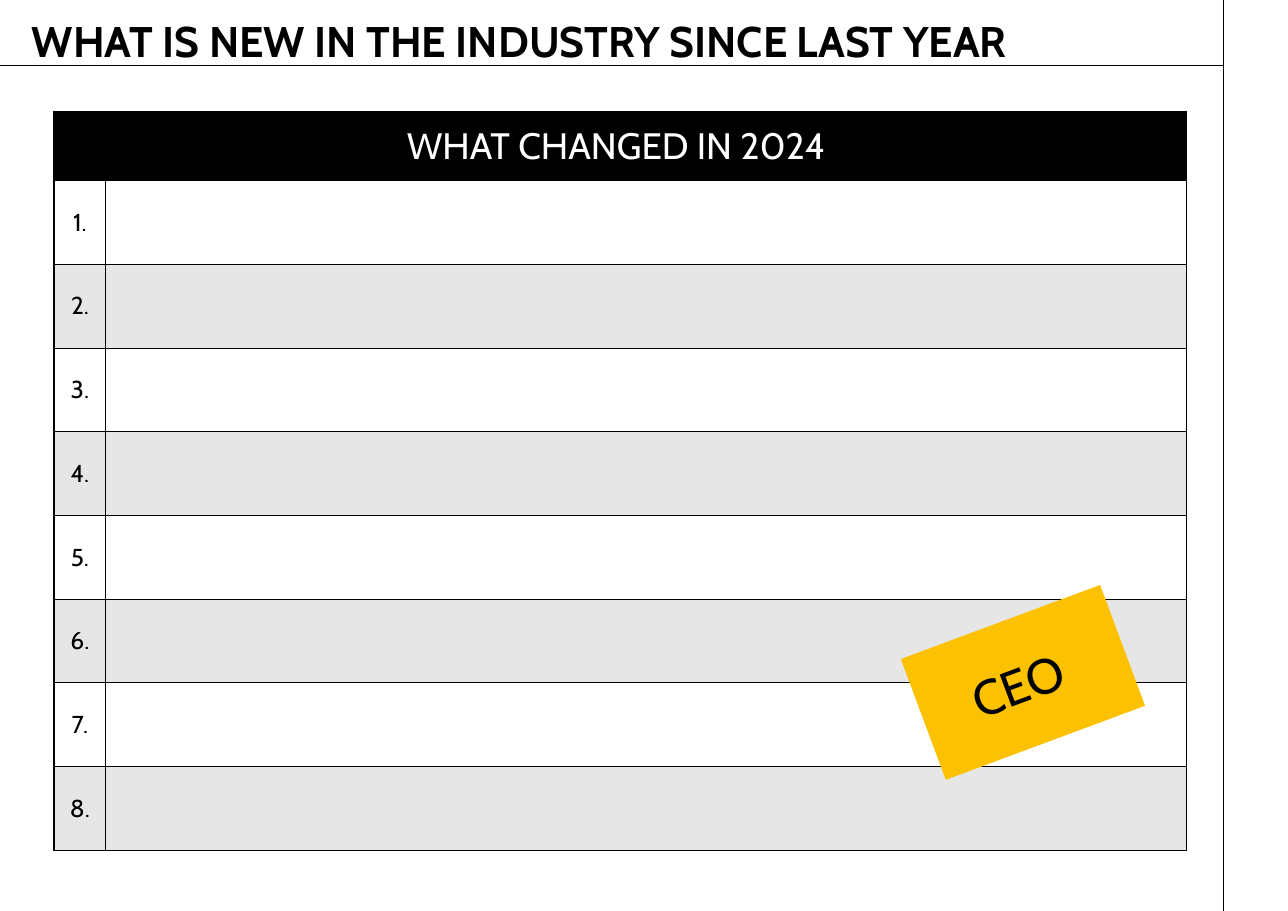
from lxml import etree
from pptx import Presentation
from pptx.dml.color import RGBColor
from pptx.enum.shapes import MSO_CONNECTOR, MSO_SHAPE
from pptx.enum.text import MSO_ANCHOR, MSO_AUTO_SIZE, PP_ALIGN
from pptx.oxml.ns import qn
from pptx.util import Inches, Pt

STRAIGHT = MSO_CONNECTOR.STRAIGHT
RECTANGLE = MSO_SHAPE.RECTANGLE
MIDDLE, BOTTOM = MSO_ANCHOR.MIDDLE, MSO_ANCHOR.BOTTOM
LEFT, CENTER = PP_ALIGN.LEFT, PP_ALIGN.CENTER

TITLE = "WHAT IS NEW IN THE INDUSTRY SINCE LAST YEAR"
TABLE_HEADING = "WHAT CHANGED IN 2024 "
BADGE = "CEO "
ROW_COUNT = 8
FONT = "Cabin"
COLORS = {"black": "000000", "white": "FFFFFF", "band": "E7E6E6", "badge": "FCC100"}

SLIDE_WIDTH, SLIDE_HEIGHT = 11.69, 8.27
MARGIN_X, TITLE_RULE_Y = 11.1, 0.59
TITLE_BOX = (0.19, 0.23, 9.56, 0.43)
BADGE_BOX = (8.32, 5.61, 1.93, 1.17)
TABLE_LEFT, TABLE_TOP = 0.49, 1.01
COLUMN_WIDTHS = (0.47, 9.81)
HEADING_HEIGHT, ROW_HEIGHT = 0.63, 0.76
THIN, THICK = 0.5, 1


def color(name):
    return RGBColor.from_string(COLORS[name])


def inches(values):
    return [Inches(value) for value in values]


def write(frame, text, size, ink, align=CENTER, bold=False):
    paragraph = frame.paragraphs[0]
    paragraph.alignment = align
    run = paragraph.add_run()
    run.text = text
    run.font.name = FONT
    run.font.size = Pt(size)
    run.font.bold = bold
    run.font.color.rgb = color(ink)
    return paragraph


def add_rule(slide, start, end):
    rule = slide.shapes.add_connector(STRAIGHT, *inches(start + end))
    rule.line.color.rgb = color("black")
    rule.line.width = Pt(THIN)
    etree.SubElement(rule._element.spPr, qn("a:effectLst"))


def set_borders(cell, widths):
    properties = cell._tc.get_or_add_tcPr()
    for index, (side, width) in enumerate(zip("LRTB", widths)):
        line = etree.Element(qn(f"a:ln{side}"), w=str(int(Pt(width))))
        fill = etree.SubElement(line, qn("a:solidFill"))
        etree.SubElement(fill, qn("a:srgbClr"), val=COLORS["black"])
        properties.insert(index, line)


def style_cell(cell, fill, borders):
    cell.fill.solid()
    cell.fill.fore_color.rgb = color(fill)
    cell.vertical_anchor = MIDDLE
    cell.margin_left = cell.margin_right = cell.margin_top = cell.margin_bottom = 0
    set_borders(cell, borders)


def add_title(slide):
    title = slide.shapes.title
    title.left, title.top, title.width, title.height = inches(TITLE_BOX)
    frame = title.text_frame
    frame.word_wrap = True
    frame.auto_size = MSO_AUTO_SIZE.NONE
    frame.vertical_anchor = BOTTOM
    write(frame, TITLE, 28, "black", LEFT, True).line_spacing = 0.9


def add_changes_table(slide):
    height = HEADING_HEIGHT + ROW_COUNT * ROW_HEIGHT
    box = inches((TABLE_LEFT, TABLE_TOP, sum(COLUMN_WIDTHS), height))
    table = slide.shapes.add_table(ROW_COUNT + 1, len(COLUMN_WIDTHS), *box).table
    table.first_row = table.horz_banding = False
    for column, width in zip(table.columns, COLUMN_WIDTHS):
        column.width = Inches(width)
    table.rows[0].height = Inches(HEADING_HEIGHT)

    for column in range(len(COLUMN_WIDTHS)):
        style_cell(table.cell(0, column), "black", (THICK, THICK, THICK, THIN))
    heading = table.cell(0, 0)
    heading.merge(table.cell(0, 1))
    write(heading.text_frame, TABLE_HEADING, 24, "white")

    for number in range(1, ROW_COUNT + 1):
        table.rows[number].height = Inches(ROW_HEIGHT)
        fill = "white" if number % 2 else "band"
        bottom = THICK if number == ROW_COUNT else THIN
        number_cell, change_cell = table.cell(number, 0), table.cell(number, 1)
        style_cell(number_cell, fill, (THICK, THIN, THIN, bottom))
        style_cell(change_cell, fill, (THIN, THIN, THIN, bottom))
        write(number_cell.text_frame, f"{number}.", 16, "black")


def add_badge(slide):
    badge = slide.shapes.add_shape(RECTANGLE, *inches(BADGE_BOX))
    badge.rotation = 339.6
    badge.shadow.inherit = False
    badge.fill.solid()
    badge.fill.fore_color.rgb = color("badge")
    badge.line.fill.background()
    badge.text_frame.word_wrap = True
    badge.text_frame.vertical_anchor = MIDDLE
    write(badge.text_frame, BADGE, 32, "black")


def main():
    presentation = Presentation()
    presentation.slide_width = Inches(SLIDE_WIDTH)
    presentation.slide_height = Inches(SLIDE_HEIGHT)
    slide = presentation.slides.add_slide(presentation.slide_layouts[5])
    add_rule(slide, (MARGIN_X, TITLE_RULE_Y), (0, TITLE_RULE_Y))
    add_rule(slide, (MARGIN_X, SLIDE_HEIGHT), (MARGIN_X, 0))
    add_title(slide)
    add_changes_table(slide)
    add_badge(slide)
    presentation.save("out.pptx")


if __name__ == "__main__":
    main()
